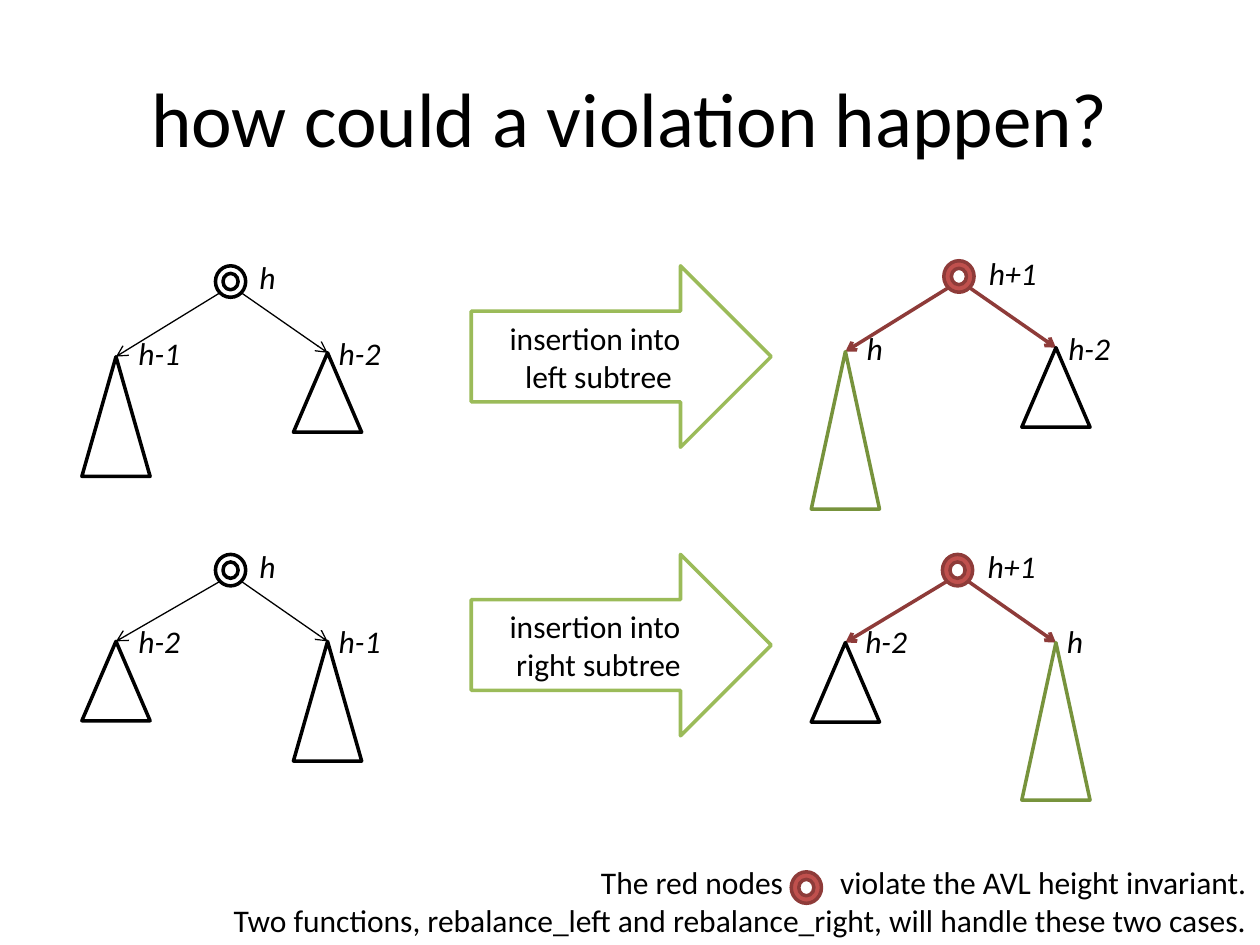
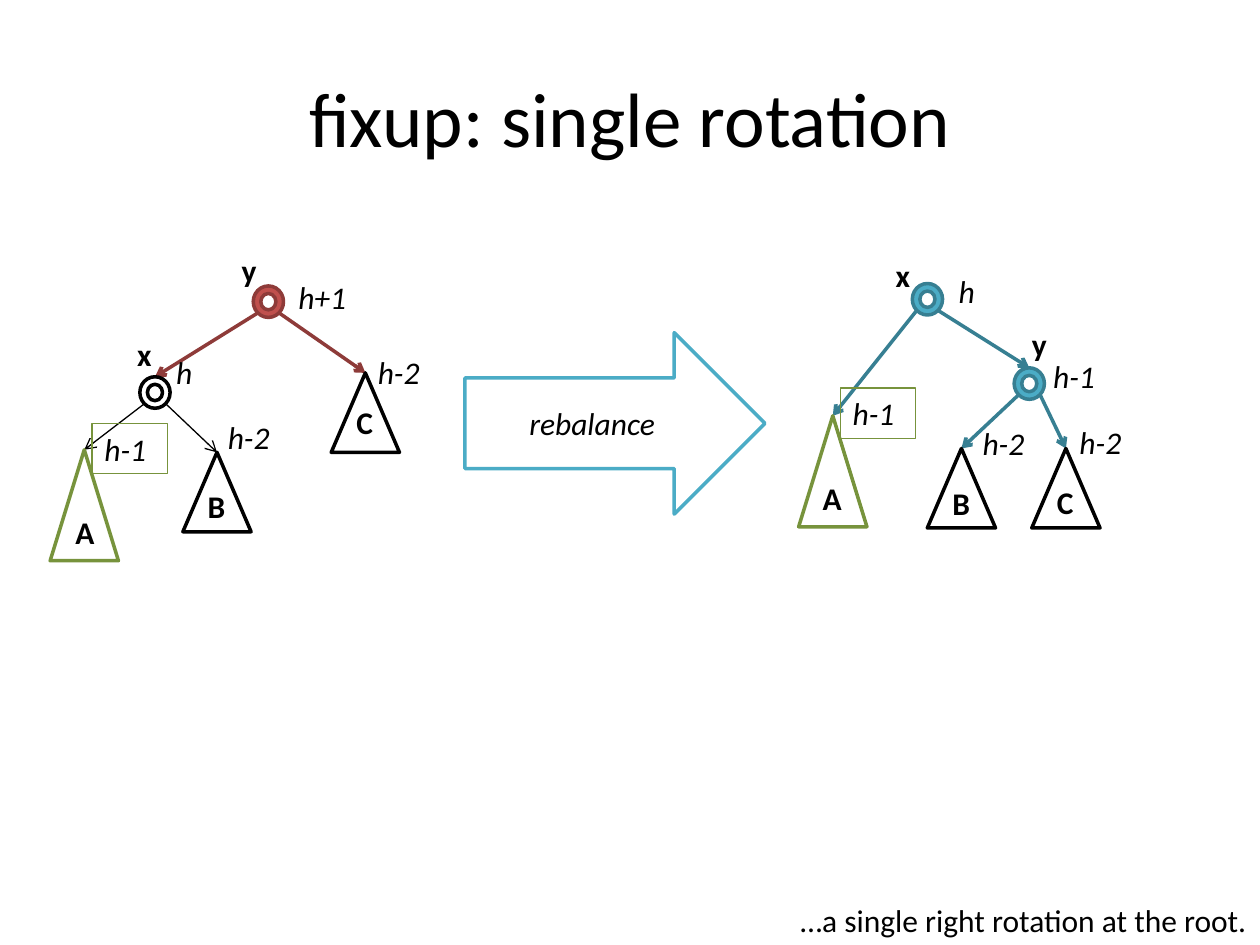
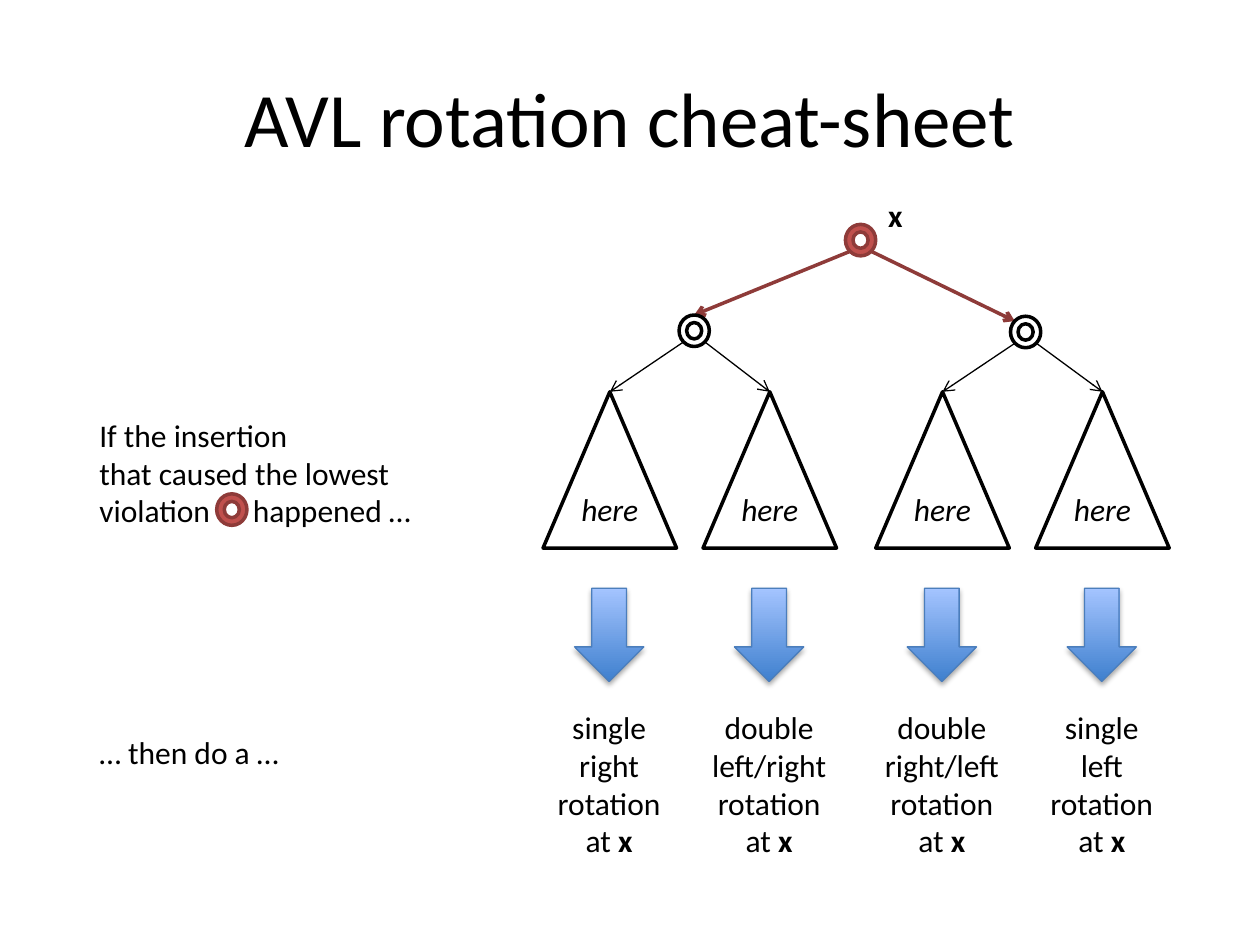
from lxml.etree import SubElement
from pptx import Presentation
from pptx.dml.color import RGBColor
from pptx.enum.shapes import MSO_CONNECTOR, MSO_SHAPE
from pptx.enum.text import MSO_ANCHOR, MSO_AUTO_SIZE, PP_ALIGN
from pptx.oxml.ns import qn
from pptx.util import Pt

FONT = "Calibri"
TONES = {  # tone: fill, line
    "black": ("FFFFFF", "000000"),
    "red": ("C0504D", "8E3B39"),
    "blue": ("4BACC6", "377F92"),
    "green": ("FFFFFF", "77933C"),
}
RING = (17.3, 18)
LOW, MID, TALL = 45.4, 68.4, 90
WIDTHS = {"h": 28, "h+1": 46.8, "h-1": 43.2, "h-2": 43.2, "A": 26}

# Node: centre x, top, tone, height (0 for a ring), children, shift of the arrow tip
# Label: text, left, top, frame tone
# Block: text, left, top, width, line colour, italic
SLIDES = [
    {
        "title": "how could a violation happen?",
        "trees": [
            (131.8, 151.9, "black", 0, [(66.3, 203.8, "black", MID, []),
                                        (187.2, 201.6, "black", LOW, [])]),
            (131.8, 316.8, "black", 0, [(66.3, 366.5, "black", LOW, []),
                                        (187.2, 366.5, "black", MID, [])]),
            (548, 149, "red", 0, [(483.1, 200.9, "green", TALL, []),
                                  (603.4, 198.7, "black", LOW, [])]),
            (547.2, 316.8, "red", 0, [(483.1, 367.2, "black", LOW, []),
                                      (603.4, 367.2, "green", TALL, [])]),
            (460.8, 498.2, "red", 0, []),
        ],
        "labels": [
            ("h", 141.1, 144), ("h-1", 72, 187.2), ("h-2", 186.5, 187.2),
            ("h", 141.1, 308.9), ("h-2", 72, 352.1), ("h-1", 186.5, 352.1),
            ("h+1", 558, 141.8), ("h", 488.2, 184.3), ("h-2", 603.4, 184.3),
            ("h+1", 557.3, 308.9), ("h-2", 487.4, 352.1), ("h", 602.6, 352.1),
        ],
        "blocks": [
            ("insertion into \vleft subtree", 269.3, 151.9, "9BBB59", False),
            ("insertion into \vright subtree", 269.3, 316.8, "9BBB59", False),
        ],
        "foot": [
            ("The red nodes", 28.5, "violate the AVL height invariant."),
            ("Two functions, rebalance_left and rebalance_right, "
             "will handle these two cases.",),
        ],
    },
    {
        "title": "fixup: single rotation",
        "trees": [
            (153.4, 163.4, "red", 0, [
                (88.6, 215.3, "black", 0, [(48.2, 257, "green", 63.4, []),
                                           (124, 258.5, "black", LOW, [])]),
                (208.8, 213.1, "black", LOW, [])]),
            (530, 162, "blue", 0, [
                (475.9, 237.6, "green", 63.4, []),
                (588.2, 210.2, "blue", 0, [(549.4, 256.3, "black", LOW, []),
                                           (609.1, 256.3, "black", LOW, [])])]),
        ],
        "labels": [
            ("h+1", 163.4, 155.5), ("h", 93.6, 198), ("h-2", 208.8, 198),
            ("h-1", 52.6, 242, "green"), ("h-2", 123.1, 235.4),
            ("A", 36, 289.4), ("B", 111.6, 275), ("C", 196.6, 226.8),
            ("x", 71.3, 188), ("y", 131, 139.7),
            ("h", 540.7, 152), ("h-1", 594.7, 200.2), ("h-2", 609.8, 238.3),
            ("h-1", 480.2, 221.8, "green"), ("h-2", 554.4, 239),
            ("A", 463, 270), ("B", 537.1, 272.9), ("C", 596.9, 272.2),
            ("x", 504.7, 142.6), ("y", 582.5, 182.2),
        ],
        "blocks": [("rebalance", 265.7, 190.1, "4BACC6", True)],
        "foot": [("…a single right rotation at the root.",)],
    },
    {
        "title": "AVL rotation cheat-sheet",
        "trees": [
            (491.8, 128.2, "red", 0, [
                (396.7, 180, "black", 0, [(348.5, 223.9, "black", 89.3, []),
                                          (439.9, 223.9, "black", 89.3, [])]),
                (586.1, 180.7, "black", 0, [(538.6, 223.9, "black", 89.3, []),
                                            (630, 223.9, "black", 89.3, [])],
                 (-6.2, 2.8))]),
            (132.5, 282.2, "red", 0, []),
        ],
        "base": 76.3,
        "tag": "here",
        "labels": [("x", 500.4, 108.7)],
        "notes": [
            (("If the insertion\vthat caused the lowest\vviolation", 20.3,
              "happened …"), 234, 195, 72.7),
            (("… then do a …",), 415.4, 119.5, 28.8),
        ],
        "cures": [("single", "right", 348.1), ("double", "left/right", 439.5),
                  ("double", "right/left", 538.2), ("single", "left", 629.6)],
    },
]


def tint(code):
    """Turn a hex string into a colour."""
    return RGBColor.from_string(code)


def write(shape, paras, size=18, align=PP_ALIGN.LEFT, bold=False, italic=False):
    """Fill a shape with paragraphs; a number among the pieces is a gap."""
    frame = shape.text_frame
    for i, (first, *rest) in enumerate(paras):
        para = frame.add_paragraph() if i else frame.paragraphs[0]
        para.text = first
        for piece in rest:
            run = para.add_run()
            if isinstance(piece, str):
                run.text = piece
            else:
                run.text = " "
                run.font._element.set("spc", str(round(piece * 100)))
        para.alignment = align
        font = para.font
        font.name, font.size, font.bold, font.italic = FONT, Pt(size), bold, italic
        font.color.rgb = tint("000000")
    return frame


def box(slide, paras, x, y, wide, high, **style):
    """Add a text box that does not wrap."""
    shape = slide.shapes.add_textbox(Pt(x), Pt(y), Pt(wide), Pt(high))
    frame = write(shape, paras, **style)
    frame.word_wrap = False
    frame.auto_size = MSO_AUTO_SIZE.SHAPE_TO_FIT_TEXT
    return shape


def form(slide, kind, x, y, wide, high, fill, line, width=2):
    """Add a flat preset shape."""
    shape = slide.shapes.add_shape(kind, Pt(x), Pt(y), Pt(wide), Pt(high))
    shape.shadow.inherit = False
    if fill:
        shape.fill.solid()
        shape.fill.fore_color.rgb = tint(fill)
    shape.line.color.rgb = tint(line)
    shape.line.width = Pt(width)
    return shape


def edge(slide, node, kid):
    """Draw the arrow from a ring to its child."""
    x, y, tone = node[:3]
    side = 6.2 if kid[0] > x else -6.2
    dx, dy = kid[5] if len(kid) > 5 else (0, 0)
    line = slide.shapes.add_connector(
        MSO_CONNECTOR.STRAIGHT, Pt(x + side), Pt(y + 15.5),
        Pt(kid[0] + dx), Pt(kid[1] + dy))
    line.line.color.rgb = tint(TONES[tone][1])
    line.line.width = Pt(0.75 if tone == "black" else 2)
    SubElement(line.line._get_or_add_ln(), qn("a:tailEnd"), type="arrow")
    SubElement(line._element.spPr, qn("a:effectLst"))


def grow(slide, node, base, tag):
    """Draw a node, its edges and all that hangs below it."""
    x, y, tone, high, kids = node[:5]
    if high:
        shape = form(slide, MSO_SHAPE.ISOSCELES_TRIANGLE, x - base / 2, y,
                     base, high, *TONES[tone])
        if tag:
            frame = write(shape, [(tag,)], align=PP_ALIGN.CENTER, italic=True)
            frame.margin_left = frame.margin_right = 0
            frame.vertical_anchor = MSO_ANCHOR.MIDDLE
    else:
        form(slide, MSO_SHAPE.DONUT, x - RING[0] / 2, y, *RING, *TONES[tone])
    for kid in kids:
        edge(slide, node, kid)
        grow(slide, kid, base, tag)


def label(slide, text, x, y, tone=None):
    """Add a height in italics or a name in bold."""
    tall = text.startswith("h")
    shape = box(slide, [(text,)], x, y, WIDTHS.get(text, 24), 28.8,
                bold=not tall, italic=tall)
    if tone:
        shape.line.color.rgb = tint(TONES[tone][1])
        shape.line.width = Pt(0.75)


def block(slide, text, x, y, line, italic):
    """Add a wide arrow that names the step."""
    shape = form(slide, MSO_SHAPE.RIGHT_ARROW, x, y, 171.4, 103.7, "FFFFFF", line)
    frame = write(shape, [(text,)], align=PP_ALIGN.CENTER, italic=italic)
    frame.vertical_anchor = MSO_ANCHOR.MIDDLE


def cure(slide, times, way, x):
    """Add a down arrow and the rotation it leads to."""
    shape = form(slide, MSO_SHAPE.DOWN_ARROW, x - 19.8, 336.2, 39.6, 53.3,
                 None, "4B7EBC", 0.75)
    shape.fill.gradient()
    shape.fill.gradient_angle = 90
    for stop, code in zip(shape.fill.gradient_stops, ("3F80CE", "A4C4FF")):
        stop.color.rgb = tint(code)
    glow = SubElement(shape._element.spPr.find(qn("a:effectLst")), qn("a:outerShdw"),
                      blurRad=str(Pt(3.1)), dist=str(Pt(1.8)), dir="5400000",
                      rotWithShape="0")
    dark = SubElement(glow, qn("a:srgbClr"), val="000000")
    SubElement(dark, qn("a:alpha"), val="35000")
    wide = 80.6 if times == "double" else 74.2
    text = box(slide, [(f"{times}\v{way}\vrotation\vat ", "x")], x - wide / 2, 401,
               wide, 94.3, align=PP_ALIGN.CENTER)
    text.text_frame.paragraphs[0].runs[-1].font.bold = True


def foot(slide, paras):
    """Add the closing lines at the lower right."""
    shape = slide.shapes.add_textbox(0, Pt(488.9), Pt(719.5), Pt(51.1))
    frame = write(shape, paras, align=PP_ALIGN.RIGHT)
    frame.word_wrap = True
    frame.vertical_anchor = MSO_ANCHOR.BOTTOM


def build(deck, data):
    """Build one slide from its content."""
    slide = deck.slides.add_slide(deck.slide_layouts[5])
    title = slide.shapes.title
    title.left, title.top, title.width, title.height = map(Pt, (36, 21.6, 648, 90))
    frame = write(title, [(data["title"],)], size=44, align=PP_ALIGN.CENTER)
    frame.vertical_anchor = MSO_ANCHOR.MIDDLE
    for tree in data["trees"]:
        grow(slide, tree, data.get("base", 39), data.get("tag"))
    for item in data["labels"]:
        label(slide, *item)
    for item in data.get("blocks", []):
        block(slide, *item)
    for text, y, wide, high in data.get("notes", []):
        box(slide, [text], 49.7, y, wide, high)
    for item in data.get("cures", []):
        cure(slide, *item)
    if "foot" in data:
        foot(slide, data["foot"])


def main():
    """Build and save the deck."""
    deck = Presentation()
    deck.slide_width, deck.slide_height = Pt(720), Pt(540)
    for data in SLIDES:
        build(deck, data)
    deck.save("out.pptx")


if __name__ == "__main__":
    main()
